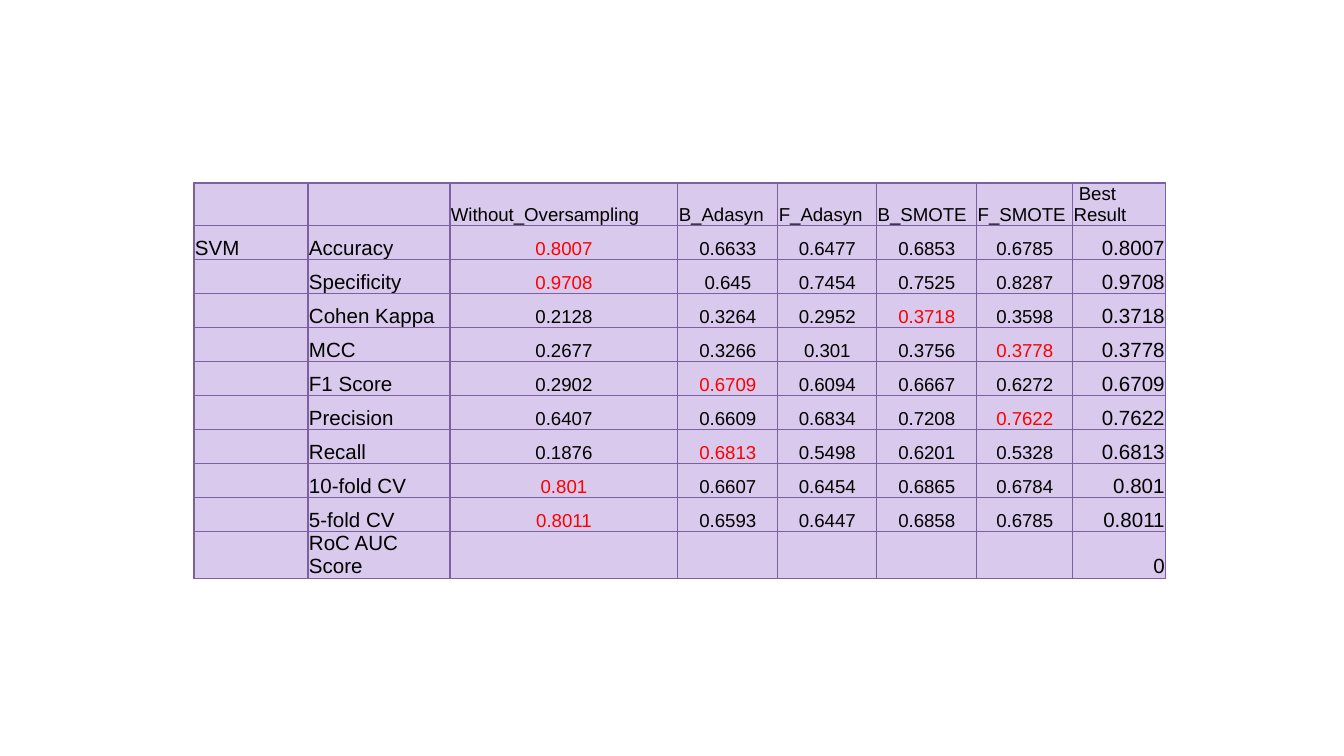
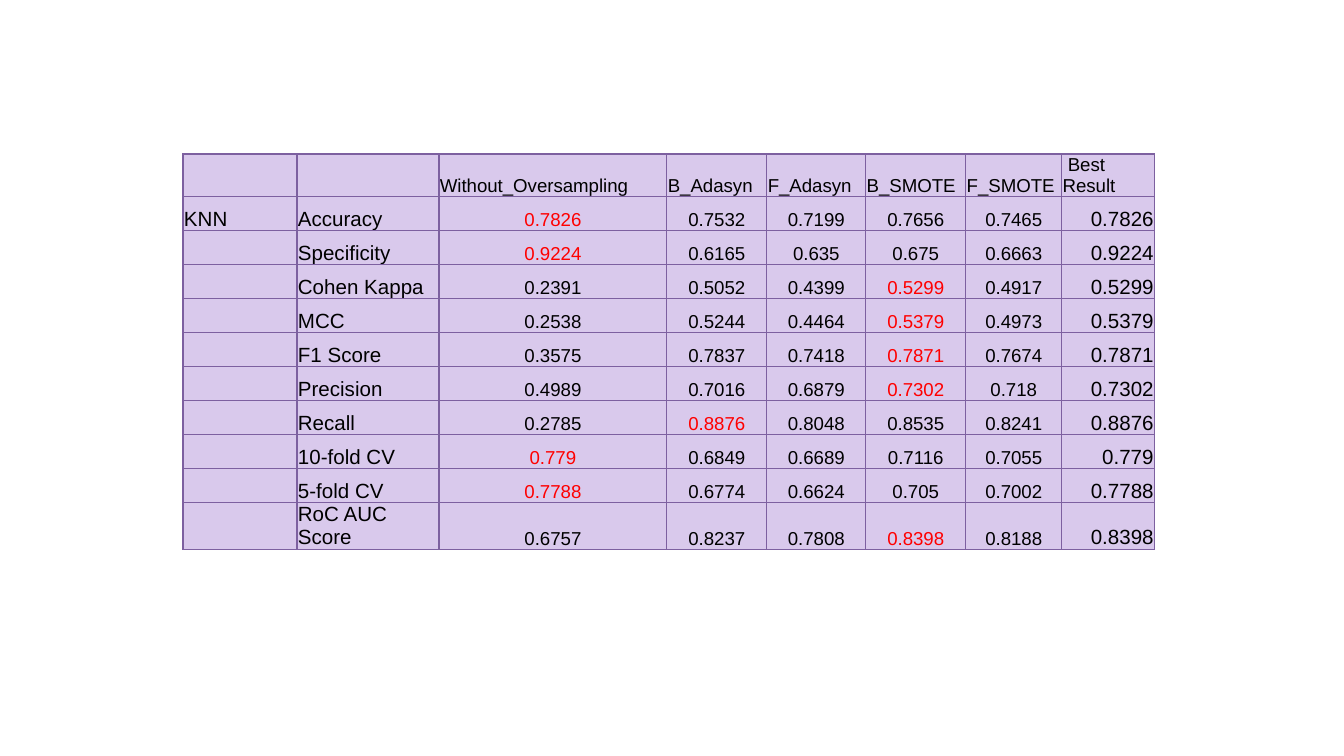
from pptx import Presentation
from pptx.dml.color import RGBColor
from pptx.enum.text import MSO_ANCHOR, PP_ALIGN
from pptx.oxml import parse_xml
from pptx.oxml.ns import nsdecls
from pptx.util import Emu, Pt

SCALE = 914400 / 134.4  # EMU per px
SLIDE_SIZE = (1344, 756)
FONT = "Arial"
COLORS = {"fill": "D9C9EC", "border": "7D60A0", "text": "000000", "best": "FF0000"}
BORDER_WIDTH = Pt(0.75)

COLUMN_WIDTHS = [114, 142, 228, 100, 99, 100, 96, 93]
ROW_HEIGHT = 34
HEADERS = ["", "", "Without_Oversampling", "B_Adasyn", "F_Adasyn",
           "B_SMOTE", "F_SMOTE", " Best Result"]
METRICS = ["Accuracy", "Specificity", "Cohen Kappa", "MCC", "F1 Score",
           "Precision", "Recall", "10-fold CV", "5-fold CV", "RoC AUC Score"]

SVM_SCORES = [
    [0.8007, 0.6633, 0.6477, 0.6853, 0.6785],
    [0.9708, 0.645, 0.7454, 0.7525, 0.8287],
    [0.2128, 0.3264, 0.2952, 0.3718, 0.3598],
    [0.2677, 0.3266, 0.301, 0.3756, 0.3778],
    [0.2902, 0.6709, 0.6094, 0.6667, 0.6272],
    [0.6407, 0.6609, 0.6834, 0.7208, 0.7622],
    [0.1876, 0.6813, 0.5498, 0.6201, 0.5328],
    [0.801, 0.6607, 0.6454, 0.6865, 0.6784],
    [0.8011, 0.6593, 0.6447, 0.6858, 0.6785],
    [None] * 5,
]
KNN_SCORES = [
    [0.7826, 0.7532, 0.7199, 0.7656, 0.7465],
    [0.9224, 0.6165, 0.635, 0.675, 0.6663],
    [0.2391, 0.5052, 0.4399, 0.5299, 0.4917],
    [0.2538, 0.5244, 0.4464, 0.5379, 0.4973],
    [0.3575, 0.7837, 0.7418, 0.7871, 0.7674],
    [0.4989, 0.7016, 0.6879, 0.7302, 0.718],
    [0.2785, 0.8876, 0.8048, 0.8535, 0.8241],
    [0.779, 0.6849, 0.6689, 0.7116, 0.7055],
    [0.7788, 0.6774, 0.6624, 0.705, 0.7002],
    [0.6757, 0.8237, 0.7808, 0.8398, 0.8188],
]


def px(length):
    return Emu(round(length * SCALE))


def rgb(name):
    return RGBColor.from_string(COLORS[name])


def set_borders(cell):
    """Draw the four cell edges; they must precede the fill in the XML."""
    tcPr = cell._tc.get_or_add_tcPr()
    for i, edge in enumerate(("lnL", "lnR", "lnT", "lnB")):
        tcPr.insert(i, parse_xml(
            f'<a:{edge} {nsdecls("a")} w="{BORDER_WIDTH}"><a:solidFill>'
            f'<a:srgbClr val="{COLORS["border"]}"/></a:solidFill></a:{edge}>'))


def fill_cell(cell, text="", size=10, align=PP_ALIGN.LEFT, color="text"):
    cell.fill.solid()
    cell.fill.fore_color.rgb = rgb("fill")
    set_borders(cell)
    cell.margin_left = cell.margin_right = cell.margin_top = px(1)
    cell.margin_bottom = 0
    cell.vertical_anchor = MSO_ANCHOR.BOTTOM
    p = cell.text_frame.paragraphs[0]
    p.alignment = align
    p.font.name = FONT
    p.font.size = Pt(size)
    p.font.color.rgb = rgb(color)
    if text:
        p.text = text
    else:
        # An empty paragraph takes its line height from its end mark.
        p._p.get_or_add_endParaRPr().set("sz", str(size * 100))


def fill_metric_row(cells, label, metric, scores):
    """Write one metric: its scores, the best one in red, and the best again at the end."""
    best = max(score or 0 for score in scores)
    fill_cell(cells[0], label, 11)
    fill_cell(cells[1], metric, 11)
    for cell, score in zip(cells[2:-1], scores):
        fill_cell(cell, "" if score is None else f"{score:g}", align=PP_ALIGN.CENTER,
                  color="best" if score == best else "text")
    fill_cell(cells[-1], f"{best:g}", 11, PP_ALIGN.RIGHT)


def add_score_slide(prs, model, scores, left, top):
    s = prs.slides.add_slide(prs.slide_layouts[6])
    rows = len(METRICS) + 1
    table = s.shapes.add_table(rows, len(HEADERS), px(left), px(top),
                               px(sum(COLUMN_WIDTHS)), px(rows * ROW_HEIGHT)).table
    table.first_row = table.horz_banding = False
    for column, width in zip(table.columns, COLUMN_WIDTHS):
        column.width = px(width)
    for row in table.rows:
        row.height = px(ROW_HEIGHT)

    for cell, header in zip(table.rows[0].cells, HEADERS):
        fill_cell(cell, header)
    for i, (metric, values) in enumerate(zip(METRICS, scores)):
        cells = list(table.rows[i + 1].cells)
        fill_metric_row(cells, "" if i else model, metric, values)


def main():
    prs = Presentation()
    prs.slide_width, prs.slide_height = map(px, SLIDE_SIZE)
    add_score_slide(prs, "SVM", SVM_SCORES, 194, 183)
    add_score_slide(prs, "KNN", KNN_SCORES, 183, 154)
    prs.save("out.pptx")


if __name__ == "__main__":
    main()
